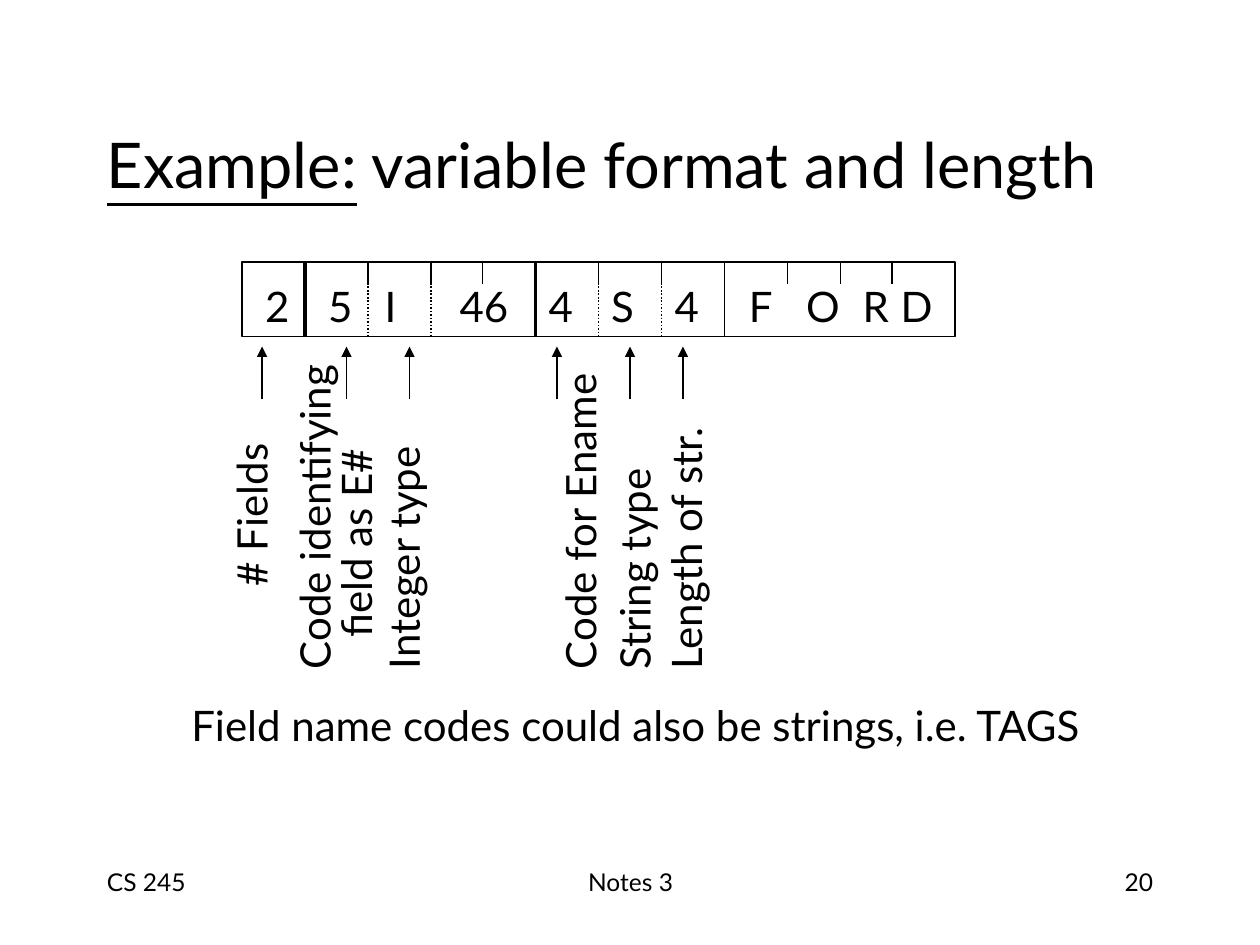
from lxml import etree
from pptx import Presentation
from pptx.dml.color import RGBColor
from pptx.enum import dml, shapes, text
from pptx.oxml.ns import qn
from pptx.util import Inches, Pt

FONT = "Lato"
BLACK = "000000"
LEFT, CENTER, RIGHT = text.PP_ALIGN.LEFT, text.PP_ALIGN.CENTER, text.PP_ALIGN.RIGHT

RECORD_LEFT, RECORD_TOP, RECORD_RIGHT, RECORD_BOTTOM = 1.92, 2.08, 7.58, 2.67
BYTE_EDGES = [2.42, 2.92, 3.42, 3.83, 4.25, 4.75, 5.25, 5.75, 6.25, 6.67, 7.08]
FIELD_STARTS = [2.42, 4.25]
PART_STARTS = [2.92, 3.42, 4.75, 5.25]
STRING_START = 5.75

# value, centre, box width
VALUES = [
    ("2", 2.2, 0.39), ("5", 2.7, 0.39), ("I", 3.1, 0.31), ("46", 3.84, 0.69),
    ("4", 4.45, 0.39), ("S", 4.94, 0.38), ("4", 5.45, 0.39),
    ("F", 6.03, 0.37), ("O", 6.53, 0.46), ("R", 6.95, 0.41), ("D", 7.27, 0.44),
]
# label, centre of its line, height at which its text begins
LABELS = [
    ("# Fields", 1.99, 4.65), ("Code identifying", 2.49, 5.31),
    ("field as E#", 2.82, 5.06), ("Integer type", 3.2, 5.31),
    ("Code for Ename", 4.6, 5.31), ("String type", 5.03, 5.31),
    ("Length of str.", 5.44, 5.31),
]
ARROWS = [2.08, 2.75, 3.25, 4.42, 5, 5.42]
FOOTERS = [
    ("CS 245", 0.75, 2.08, LEFT),
    ("Notes 3", 3.42, 3.17, CENTER),
    ("20", 7.17, 2.08, RIGHT),
]


def color(value):
    return RGBColor.from_string(value)


def add_text(slide, box, runs, size, align=LEFT, anchor=text.MSO_ANCHOR.MIDDLE, wrap=True):
    """Add one paragraph made of (text, underlined) runs."""
    shape = slide.shapes.add_textbox(*map(Inches, box))
    frame = shape.text_frame
    frame.word_wrap = wrap
    frame.vertical_anchor = anchor
    paragraph = frame.paragraphs[0]
    paragraph.alignment = align
    for words, underlined in runs:
        run = paragraph.add_run()
        run.text = words
        run.font.name = FONT
        run.font.size = Pt(size)
        run.font.underline = underlined
        run.font.color.rgb = color(BLACK)
    return shape


def add_line(slide, start, end, width=0.75, dash=None, arrow=False):
    line = slide.shapes.add_connector(
        shapes.MSO_CONNECTOR.STRAIGHT, *map(Inches, start + end))
    line.line.color.rgb = color(BLACK)
    line.line.width = Pt(width)
    if dash:
        line.line.dash_style = dash
    properties = line._element.spPr
    if arrow:
        etree.SubElement(properties.find(qn("a:ln")), qn("a:tailEnd"), type="triangle")
    etree.SubElement(properties, qn("a:effectLst"))


def add_divider(slide, x, bottom=RECORD_BOTTOM, width=0.75, dash=None):
    add_line(slide, (x, RECORD_TOP), (x, bottom), width, dash)


def add_record(slide):
    outline = slide.shapes.add_shape(
        shapes.MSO_SHAPE.RECTANGLE, Inches(RECORD_LEFT), Inches(RECORD_TOP),
        Inches(RECORD_RIGHT - RECORD_LEFT), Inches(RECORD_BOTTOM - RECORD_TOP))
    outline.shadow.inherit = False
    outline.fill.background()
    outline.line.color.rgb = color(BLACK)
    outline.line.width = Pt(0.75)
    for x in BYTE_EDGES:
        add_divider(slide, x, bottom=2.25)
    for x in FIELD_STARTS:
        add_divider(slide, x, width=2)
    for x in PART_STARTS:
        add_divider(slide, x, width=1, dash=dml.MSO_LINE.ROUND_DOT)
    add_divider(slide, STRING_START)
    for value, center, width in VALUES:
        add_text(slide, (center - width / 2, 2.18, width, 0.5),
                 [(value, False)], 24, CENTER, wrap=False)


def add_vertical_label(slide, label, center, start):
    """Add a label that reads upwards from the height given by start."""
    length, thickness, inset = 2.76, 0.5, 0.1
    middle = start + inset - length / 2
    shape = add_text(
        slide, (center - length / 2, middle - thickness / 2, length, thickness),
        [(label, False)], 24)
    shape.rotation = 270


def main():
    presentation = Presentation()
    presentation.slide_width, presentation.slide_height = Inches(10), Inches(7.5)
    slide = presentation.slides.add_slide(presentation.slide_layouts[6])

    add_text(slide, (0.75, 0.67, 8.5, 1.25),
             [("Example:", True), (" variable format and length", False)], 36)
    add_record(slide)
    for label, center, start in LABELS:
        add_vertical_label(slide, label, center, start)
    for x in ARROWS:
        add_line(slide, (x, 3.17), (x, 2.75), arrow=True)
    add_text(slide, (1.42, 5.5, 7.76, 0.5),
             [("Field name codes could also be strings, i.e. TAGS", False)], 24)
    for words, left, width, align in FOOTERS:
        add_text(slide, (left, 6.83, width, 0.5), [(words, False)], 14, align,
                 text.MSO_ANCHOR.TOP)

    presentation.save("out.pptx")


if __name__ == "__main__":
    main()
